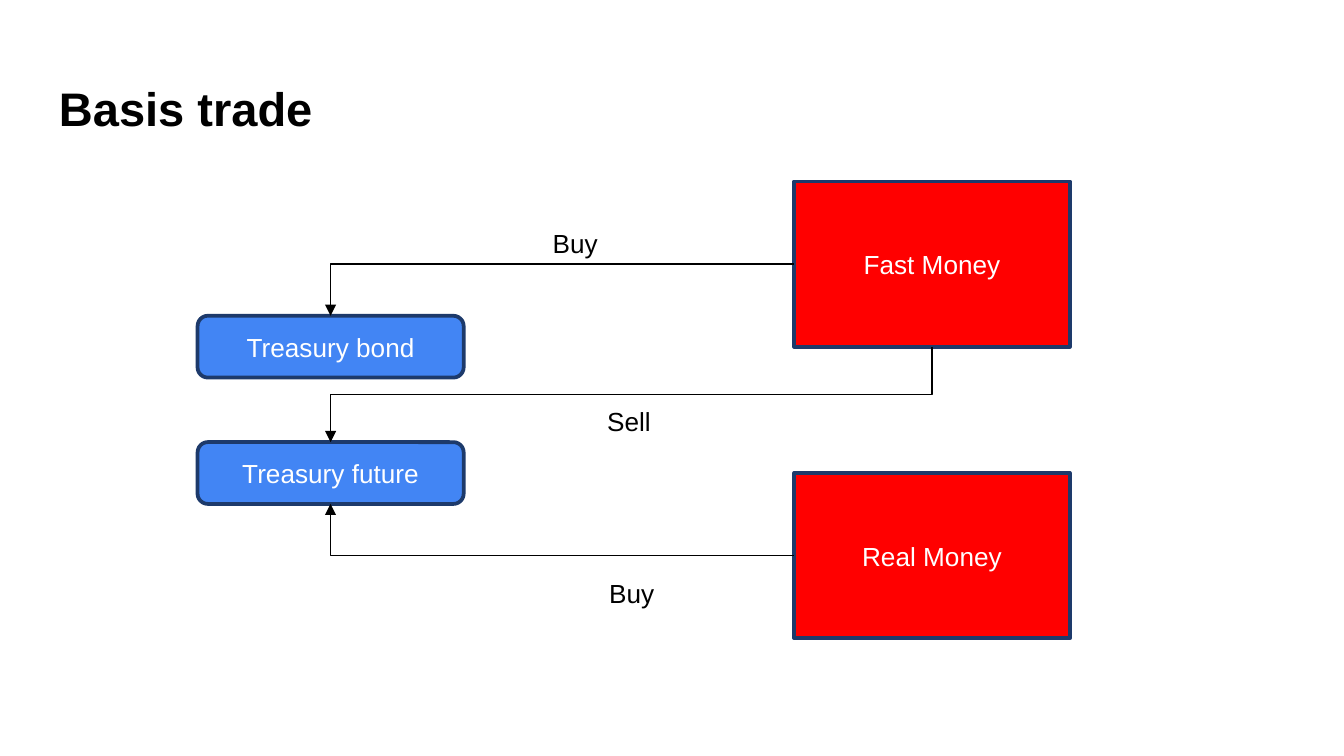
"""Build the basis trade slide: who buys and sells Treasury bonds and futures."""
import pptx
import pptx.dml.color
import pptx.enum.shapes
import pptx.enum.text
import pptx.oxml
import pptx.oxml.ns
import pptx.util

Inches = pptx.util.Inches
Pt = pptx.util.Pt
SHAPES = pptx.enum.shapes.MSO_SHAPE
ALIGN = pptx.enum.text.PP_ALIGN
ANCHOR = pptx.enum.text.MSO_ANCHOR
TOP, LEFT, BOTTOM = 0, 1, 2

COLORS = {
    "black": "000000",
    "white": "FFFFFF",
    "security": "4285F4",
    "trader": "FF0000",
    "outline": "1D3A6B",
}


def rgb(name):
    return pptx.dml.color.RGBColor.from_string(COLORS[name])


def write(frame, text, color, size=14, align=ALIGN.CENTER, bold=False):
    frame.word_wrap = True
    paragraph = frame.paragraphs[0]
    paragraph.text = text
    paragraph.alignment = align
    paragraph.font.name = "Arial"
    paragraph.font.size = Pt(size)
    paragraph.font.bold = bold
    paragraph.font.color.rgb = rgb(color)


def add_node(slide, preset, left, top, width, height, text, fill):
    node = slide.shapes.add_shape(
        preset, Inches(left), Inches(top), Inches(width), Inches(height))
    node.shadow.inherit = False
    node.fill.solid()
    node.fill.fore_color.rgb = rgb(fill)
    node.line.color.rgb = rgb("outline")
    node.line.width = Pt(2)
    node.text_frame.vertical_anchor = ANCHOR.MIDDLE
    write(node.text_frame, text, "white")
    return node


def add_security(slide, top, text):
    return add_node(slide, SHAPES.ROUNDED_RECTANGLE,
                    1.47, top, 1.98, 0.46, text, "security")


def add_trader(slide, top, text):
    return add_node(slide, SHAPES.RECTANGLE, 5.91, top, 2.05, 1.23, text, "trader")


def add_label(slide, left, top, text):
    label = slide.shapes.add_textbox(
        Inches(left), Inches(top), Inches(5), Inches(0.34))
    write(label.text_frame, text, "black")


def add_title(slide, text):
    title = slide.shapes.add_textbox(
        Inches(0.34), Inches(0.49), Inches(9.32), Inches(0.63))
    frame = title.text_frame
    frame.margin_top = frame.margin_bottom = Inches(0.1)
    write(frame, text, "black", 25.2, ALIGN.LEFT, True)


def turn_down(arrow):
    center_x = arrow.left + arrow.width // 2
    center_y = arrow.top + arrow.height // 2
    arrow.width, arrow.height = arrow.height, arrow.width
    arrow.left = center_x - arrow.width // 2
    arrow.top = center_y - arrow.height // 2
    transform = arrow._element.spPr.find(pptx.oxml.ns.qn("a:xfrm"))
    transform.set("rot", "5400000")
    transform.set("flipH", "0")


def add_trade_arrow(slide, trader, trader_side, security, security_side):
    arrow = slide.shapes.add_connector(
        pptx.enum.shapes.MSO_CONNECTOR.ELBOW, 0, 0, 0, 0)
    arrow.begin_connect(trader, trader_side)
    arrow.end_connect(security, security_side)
    arrow.line.color.rgb = rgb("black")
    arrow.line.width = Pt(0.75)
    properties = arrow._element.spPr
    namespace = pptx.oxml.ns.nsdecls("a")
    properties.find(pptx.oxml.ns.qn("a:ln")).append(
        pptx.oxml.parse_xml(f'<a:tailEnd {namespace} type="triangle"/>'))
    properties.append(pptx.oxml.parse_xml(f"<a:effectLst {namespace}/>"))
    if trader_side == LEFT:
        geometry = properties.find(pptx.oxml.ns.qn("a:prstGeom"))
        geometry.set("prst", "bentConnector2")
    else:
        turn_down(arrow)


def main():
    deck = pptx.Presentation()
    deck.slide_width = Inches(10)
    deck.slide_height = deck.slide_width * 9 // 16
    slide = deck.slides.add_slide(deck.slide_layouts[6])

    add_title(slide, "Basis trade")
    bond = add_security(slide, 2.35, "Treasury bond")
    future = add_security(slide, 3.29, "Treasury future")
    real_money = add_trader(slide, 3.52, "Real Money")
    fast_money = add_trader(slide, 1.35, "Fast Money")

    add_trade_arrow(slide, real_money, LEFT, future, BOTTOM)
    add_trade_arrow(slide, fast_money, LEFT, bond, TOP)
    add_trade_arrow(slide, fast_money, BOTTOM, future, TOP)

    add_label(slide, 1.78, 1.64, "Buy")
    add_label(slide, 2.18, 2.97, "Sell")
    add_label(slide, 2.2, 4.25, "Buy")
    deck.save("out.pptx")


if __name__ == "__main__":
    main()
